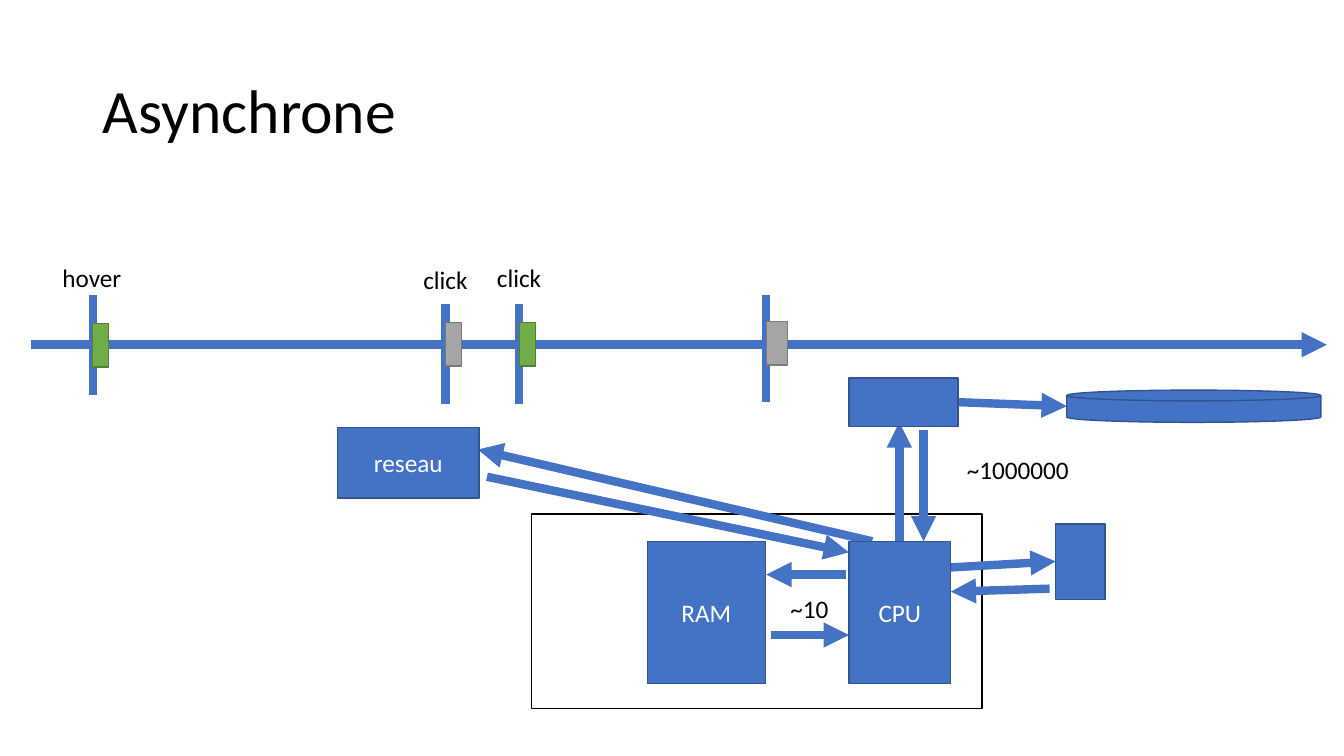
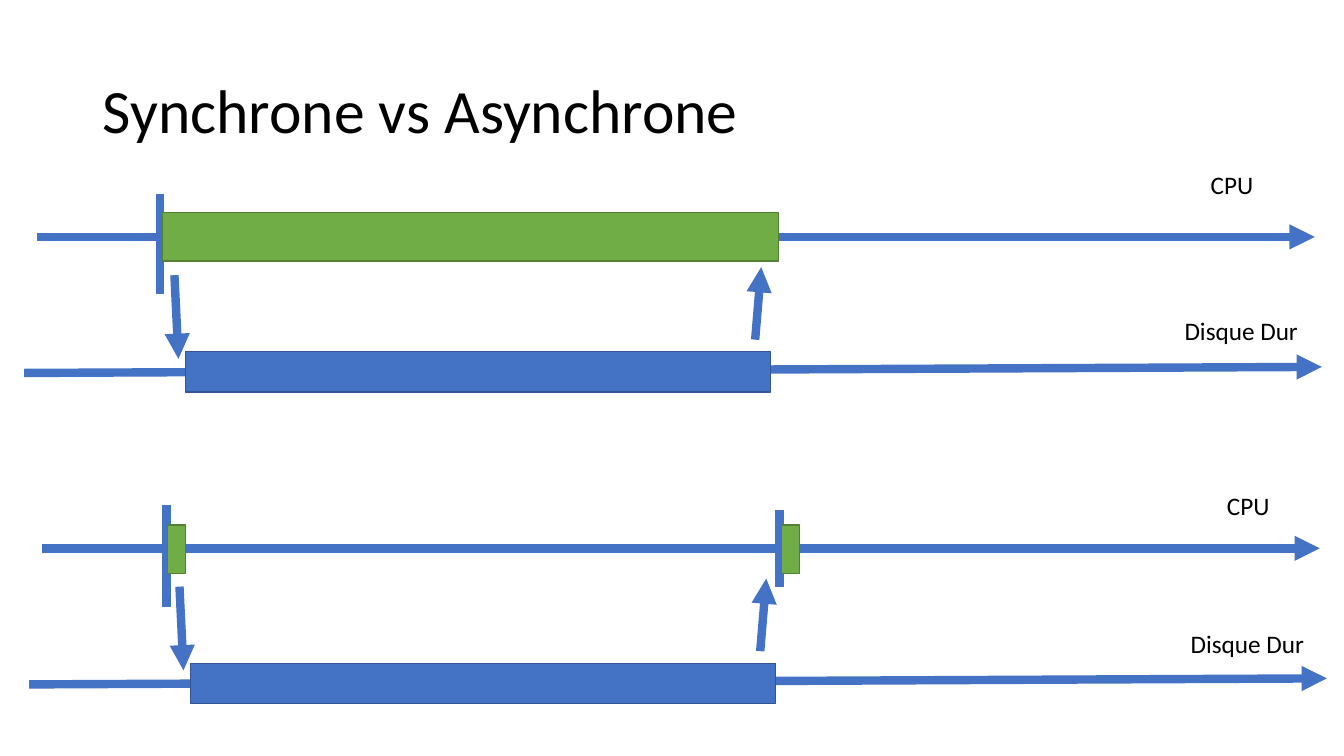
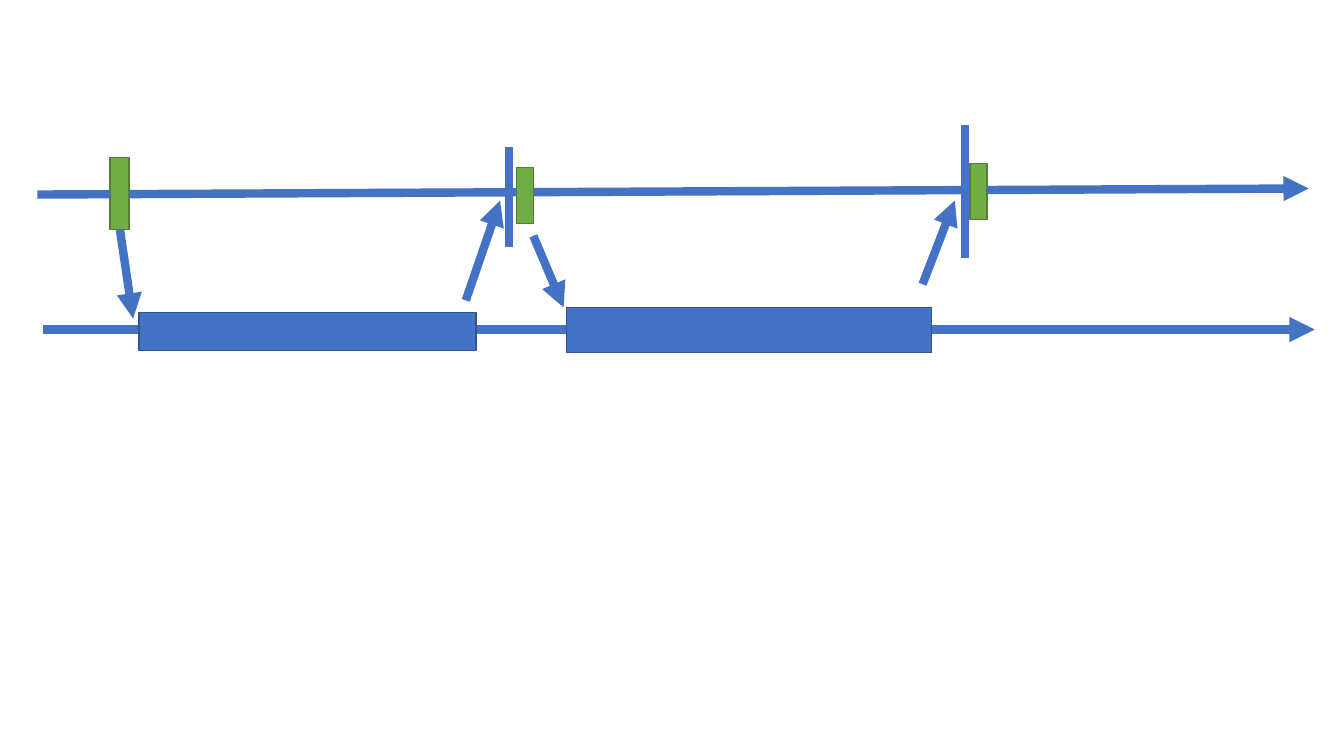
from lxml import etree
from pptx import Presentation
from pptx.dml.color import RGBColor
from pptx.enum.shapes import MSO_CONNECTOR, MSO_SHAPE
from pptx.enum.text import MSO_ANCHOR, MSO_AUTO_SIZE, PP_ALIGN
from pptx.oxml.ns import qn
from pptx.util import Inches, Pt

FONT = "Calibri"
COLORS = {"blue": "4472C4", "green": "70AD47", "gray": "A5A5A5",
          "white": "FFFFFF", "black": "000000"}
OUTLINES = {"blue": "325491", "green": "538035", "gray": "7A7A7A", "white": "000000"}
TITLE_ONLY, BLANK = 5, 6

# arrows: x1, y1, x2, y2 / ticks: x, top, bottom
# boxes: left, top, width, height, colour, text / labels: left, top, width, text
EVENTS = {
    "title": "Asynchrone",
    "arrows": [
        (0.31, 3.42, 13.16, 3.42),
        (8.39, 5.7, 7.6, 5.7), (7.65, 6.3, 8.42, 6.3),
        (8.92, 5.37, 8.92, 4.19), (9.16, 4.27, 9.16, 5.37),
        (9.5, 3.99, 10.58, 4.03),
        (8.65, 5.37, 4.74, 4.46), (4.83, 4.73, 8.42, 5.48),
        (9.42, 5.63, 10.47, 5.57), (10.41, 5.84, 9.43, 5.87),
    ],
    "ticks": [(0.92, 2.93, 3.92), (4.42, 3.02, 4.01),
              (5.15, 3.02, 4.01), (7.6, 2.93, 3.99)],
    "boxes": [
        (0.92, 3.21, 0.16, 0.43, "green", ""),
        (4.42, 3.2, 0.16, 0.43, "gray", ""),
        (5.15, 3.2, 0.16, 0.43, "green", ""),
        (7.6, 3.19, 0.21, 0.43, "gray", ""),
        (8.42, 5.37, 1.01, 1.41, "blue", "CPU"),
        (6.42, 5.37, 1.17, 1.41, "blue", "RAM"),
        (8.42, 3.75, 1.08, 0.48, "blue", ""),
        (3.35, 4.24, 1.4, 0.7, "blue", "reseau"),
        (10.47, 5.2, 0.49, 0.75, "blue", ""),
    ],
    "labels": [(0.52, 2.55, 0.79, "hover"), (4.1, 2.57, 0.65, "click"),
               (4.83, 2.55, 0.65, "click"), (7.74, 5.84, 0.58, "~10"),
               (9.49, 4.46, 1.22, "~1000000")],
}
COMPUTER_FRAME = (5.27, 5.1, 4.47, 1.93, "white", "")
DISK = (10.58, 3.87, 2.52, 0.32, "blue", "")

# The CPU and disk lanes appear twice on the comparison slide, shifted by LANE_SHIFT.
LANE_SHIFT = (0.05, 3.09)
LANE_ARROWS = [(0.37, 2.35, 13.04, 2.35), (0.24, 3.7, 13.11, 3.64),
               (1.73, 2.73, 1.77, 3.56), (7.49, 3.37, 7.55, 2.65)]
LANE_TICK = (1.59, 1.92, 2.92)
DISK_WORK = (1.84, 3.49, 5.8, 0.4, "blue", "")
COMPARISON = {
    "title": "Synchrone vs Asynchrone",
    "arrows": LANE_ARROWS + [
        (x1 + LANE_SHIFT[0], y1 + LANE_SHIFT[1], x2 + LANE_SHIFT[0], y2 + LANE_SHIFT[1])
        for x1, y1, x2, y2 in LANE_ARROWS],
    "ticks": [LANE_TICK, (1.65, 5.01, 6.02), (7.73, 5.06, 5.82)],
    "boxes": [
        (1.61, 2.11, 6.11, 0.48, "green", ""),
        DISK_WORK,
        (1.66, 5.21, 0.18, 0.48, "green", ""),
        (7.75, 5.21, 0.18, 0.48, "green", ""),
        (DISK_WORK[0] + LANE_SHIFT[0], DISK_WORK[1] + LANE_SHIFT[1], *DISK_WORK[2:]),
    ],
    "labels": [(11.91, 1.63, 0.63, "CPU"), (11.65, 3.08, 1.34, "Disque Dur"),
               (12.07, 4.82, 0.63, "CPU"), (11.71, 6.18, 1.34, "Disque Dur")],
}

CHAINED = {
    "title": "",
    "arrows": [
        (0.37, 1.93, 12.98, 1.87), (0.43, 3.27, 13.04, 3.27),
        (1.19, 2.28, 1.32, 3.16), (4.62, 2.98, 4.96, 1.99),
        (5.29, 2.34, 5.59, 3.05), (9.15, 2.82, 9.47, 1.99),
    ],
    "ticks": [(5.05, 1.46, 2.45), (9.57, 1.24, 2.56)],
    "boxes": [
        (1.09, 1.56, 0.19, 0.72, "green", ""),
        (5.12, 1.66, 0.17, 0.56, "green", ""),
        (9.62, 1.62, 0.17, 0.56, "green", ""),
        (1.38, 3.1, 3.34, 0.38, "blue", ""),
        (5.62, 3.05, 3.62, 0.45, "blue", ""),
    ],
    "labels": [],
}


def rgb(value):
    return RGBColor.from_string(value)


def write(frame, text, size, color, align):
    frame.text = text
    para = frame.paragraphs[0]
    para.alignment = align
    for span in para.runs:
        span.font.name = FONT
        span.font.size = Pt(size)
        span.font.color.rgb = rgb(COLORS[color])
    return para


def add_title(slide, text):
    title = slide.shapes.title
    title.left, title.top = Inches(0.92), Inches(0.4)
    title.width, title.height = Inches(11.5), Inches(1.45)
    frame = title.text_frame
    frame.vertical_anchor = MSO_ANCHOR.MIDDLE
    frame.auto_size = MSO_AUTO_SIZE.NONE
    write(frame, text, 44, "black", PP_ALIGN.LEFT).line_spacing = 0.9


def add_line(slide, x1, y1, x2, y2, arrow=False):
    line = slide.shapes.add_connector(
        MSO_CONNECTOR.STRAIGHT, Inches(x1), Inches(y1), Inches(x2), Inches(y2))
    line.line.color.rgb = rgb(COLORS["blue"])
    line.line.width = Pt(6)
    if arrow:
        outline = line.line._get_or_add_ln()
        etree.SubElement(outline, qn("a:tailEnd"), type="triangle")
    etree.SubElement(line._element.spPr, qn("a:effectLst"))


def add_box(slide, left, top, width, height, color, text, kind=MSO_SHAPE.RECTANGLE):
    box = slide.shapes.add_shape(
        kind, Inches(left), Inches(top), Inches(width), Inches(height))
    box.shadow.inherit = False
    box.fill.solid()
    box.fill.fore_color.rgb = rgb(COLORS[color])
    box.line.color.rgb = rgb(OUTLINES[color])
    box.line.width = Pt(1)
    if text:
        box.text_frame.vertical_anchor = MSO_ANCHOR.MIDDLE
        write(box.text_frame, text, 18, "white", PP_ALIGN.CENTER)


def add_label(slide, left, top, width, text):
    label = slide.shapes.add_textbox(
        Inches(left), Inches(top), Inches(width), Inches(0.4))
    label.text_frame.word_wrap = False
    label.text_frame.auto_size = MSO_AUTO_SIZE.SHAPE_TO_FIT_TEXT
    write(label.text_frame, text, 18, "black", PP_ALIGN.LEFT)


def add_diagram(deck, content, frame=None, disk=None):
    """Draw lines first, so that boxes cover the ends that reach under them."""
    layout = TITLE_ONLY if content["title"] else BLANK
    slide = deck.slides.add_slide(deck.slide_layouts[layout])
    if content["title"]:
        add_title(slide, content["title"])
    if frame:
        add_box(slide, *frame)
    for arrow in content["arrows"]:
        add_line(slide, *arrow, arrow=True)
    for x, top, bottom in content["ticks"]:
        add_line(slide, x, top, x, bottom)
    for box in content["boxes"]:
        add_box(slide, *box)
    if disk:
        add_box(slide, *disk, kind=MSO_SHAPE.FLOWCHART_MAGNETIC_DISK)
    for label in content["labels"]:
        add_label(slide, *label)


def main():
    deck = Presentation()
    deck.slide_width, deck.slide_height = Inches(13.33), Inches(7.5)
    add_diagram(deck, EVENTS, COMPUTER_FRAME, DISK)
    add_diagram(deck, COMPARISON)
    add_diagram(deck, CHAINED)
    deck.save("out.pptx")


if __name__ == "__main__":
    main()
